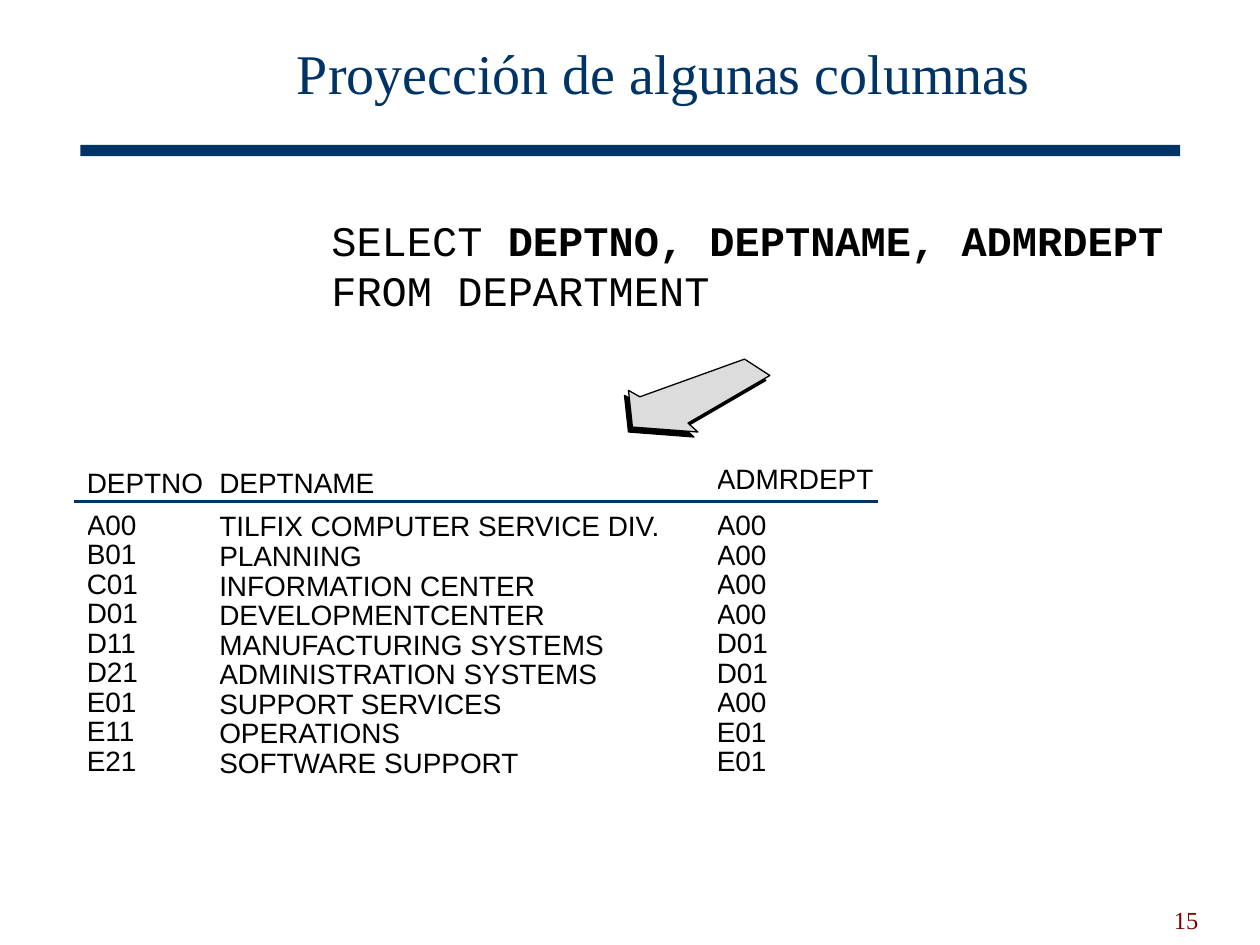
import pptx
import pptx.dml.color
import pptx.enum.shapes
import pptx.enum.text
import pptx.oxml
import pptx.util

Cm, Pt = pptx.util.Cm, pptx.util.Pt
RGBColor = pptx.dml.color.RGBColor
ALIGN, ANCHOR = pptx.enum.text.PP_ALIGN, pptx.enum.text.MSO_ANCHOR

NAVY = RGBColor(0x00, 0x33, 0x66)
MAROON = RGBColor(0x80, 0x00, 0x00)
GREY = RGBColor(0xDC, 0xDC, 0xDC)
BLACK = RGBColor(0x00, 0x00, 0x00)

# Content
TITLE = "Proyección de algunas columnas"
PAGE = "15"
# Each query line is a list of (text, bold) runs
QUERY = [
    [("SELECT ", False), ("DEPTNO, DEPTNAME, ADMRDEPT", True)],
    [("FROM DEPARTMENT", False)],
]
ROWS = [
    ("DEPTNO", "DEPTNAME", "ADMRDEPT"),
    ("A00", "TILFIX COMPUTER SERVICE DIV.", "A00"),
    ("B01", "PLANNING", "A00"),
    ("C01", "INFORMATION CENTER", "A00"),
    ("D01", "DEVELOPMENTCENTER", "A00"),
    ("D11", "MANUFACTURING SYSTEMS", "D01"),
    ("D21", "ADMINISTRATION SYSTEMS", "D01"),
    ("E01", "SUPPORT SERVICES", "A00"),
    ("E11", "OPERATIONS", "E01"),
    ("E21", "SOFTWARE SUPPORT", "E01"),
]

# Layout in centimetres
TABLE_LEFT, TABLE_TOP = 1.75, 9.4
COL_WIDTHS = (2.67, 10.03, 3.25)
HEADER_HEIGHT, ROW_HEIGHT = 0.95, 0.594
HEADER_DROPS = (0.17, 0.17, 0.09)  # space above the text, by column
BODY_DROPS = (0.06, 0.1, 0.07)
ARROW = [(15.52, 7.57), (15.01, 7.24), (12.9, 8), (12.67, 7.87),
         (12.75, 8.61), (14.07, 8.71), (13.87, 8.53)]
ARROW_LAYERS = [(-0.08, 0.1, BLACK), (0, 0, GREY)]  # dx, dy, fill


def write(tf, text, size=16, font="Arial", color=BLACK, align=ALIGN.LEFT,
          spacing=None):
    """Fill a text frame from a string or from lines of (text, bold) runs."""
    lines = [[(text, False)]] if isinstance(text, str) else text
    for i, line in enumerate(lines):
        p = tf.add_paragraph() if i else tf.paragraphs[0]
        p.alignment = align
        p.line_spacing = spacing
        for words, bold in line:
            r = p.add_run()
            r.text = words
            r.font.name, r.font.size, r.font.bold = font, Pt(size), bold
            r.font.color.rgb = color


def add_box(s, left, top, width, height, anchor=ANCHOR.TOP, wrap=True):
    tf = s.shapes.add_textbox(Cm(left), Cm(top), Cm(width), Cm(height)).text_frame
    tf.word_wrap = wrap
    tf.vertical_anchor = anchor
    if not wrap:
        tf.margin_left = tf.margin_right = tf.margin_top = tf.margin_bottom = 0
    return tf


def add_result_table(s):
    height = HEADER_HEIGHT + ROW_HEIGHT * (len(ROWS) - 1)
    table = s.shapes.add_table(len(ROWS), len(COL_WIDTHS), Cm(TABLE_LEFT),
                               Cm(TABLE_TOP), Cm(sum(COL_WIDTHS)), Cm(height)).table
    table.first_row = table.horz_banding = False
    for column, width in zip(table.columns, COL_WIDTHS):
        column.width = Cm(width)
    for i, values in enumerate(ROWS):
        table.rows[i].height = Cm(ROW_HEIGHT if i else HEADER_HEIGHT)
        for j, drop in enumerate(BODY_DROPS if i else HEADER_DROPS):
            cell = table.cell(i, j)
            cell.fill.background()
            cell.margin_left = cell.margin_right = cell.margin_bottom = 0
            cell.margin_top = Cm(drop)
            write(cell.text_frame, values[j], spacing=Pt(14))


def add_arrow(s, dx, dy, fill):
    points = [(Cm(x + dx), Cm(y + dy)) for x, y in ARROW]
    builder = s.shapes.build_freeform(*points[0])
    builder.add_line_segments(points[1:], close=True)
    sp = builder.convert_to_shape()
    sp.shadow.inherit = False
    sp.fill.solid()
    sp.fill.fore_color.rgb = fill
    sp.line.color.rgb = BLACK
    sp.line.width = Pt(0.75)


def main():
    prs = pptx.Presentation()
    prs.slide_width, prs.slide_height = Cm(25.4), Cm(19.05)
    s = prs.slides.add_slide(prs.slide_layouts[6])

    # Title bar, title and page number
    bar = s.shapes.add_shape(pptx.enum.shapes.MSO_SHAPE.RECTANGLE,
                             Cm(1.62), Cm(2.92), Cm(22.17), Cm(0.23))
    bar.shadow.inherit = False
    bar.fill.solid()
    bar.fill.fore_color.rgb = NAVY
    bar.line.fill.background()
    write(add_box(s, 3.12, 0.36, 20.52, 2.39, anchor=ANCHOR.MIDDLE), TITLE,
          size=32, font="Times New Roman", color=NAVY, align=ALIGN.CENTER,
          spacing=0.85)
    write(add_box(s, 18.31, 17.7, 6.1, 1.27, anchor=ANCHOR.BOTTOM), PAGE,
          size=14, font="Times New Roman", color=MAROON, align=ALIGN.RIGHT)

    # Query and the arrow to its result
    write(add_box(s, 6.68, 4.32, 17.2, 2.03, wrap=False), QUERY,
          size=24, font="Courier New")
    for dx, dy, fill in ARROW_LAYERS:
        add_arrow(s, dx, dy, fill)

    # Result table with the rule under its header
    add_result_table(s)
    rule = s.shapes.add_connector(pptx.enum.shapes.MSO_CONNECTOR.STRAIGHT,
                                  Cm(1.5), Cm(10.11), Cm(17.7), Cm(10.11))
    rule.line.color.rgb = NAVY
    rule.line.width = Pt(2.25)
    rule._element.spPr.append(pptx.oxml.parse_xml(
        '<a:effectLst xmlns:a="http://schemas.openxmlformats.org/drawingml/2006/main"/>'))

    prs.save("out.pptx")


if __name__ == "__main__":
    main()
